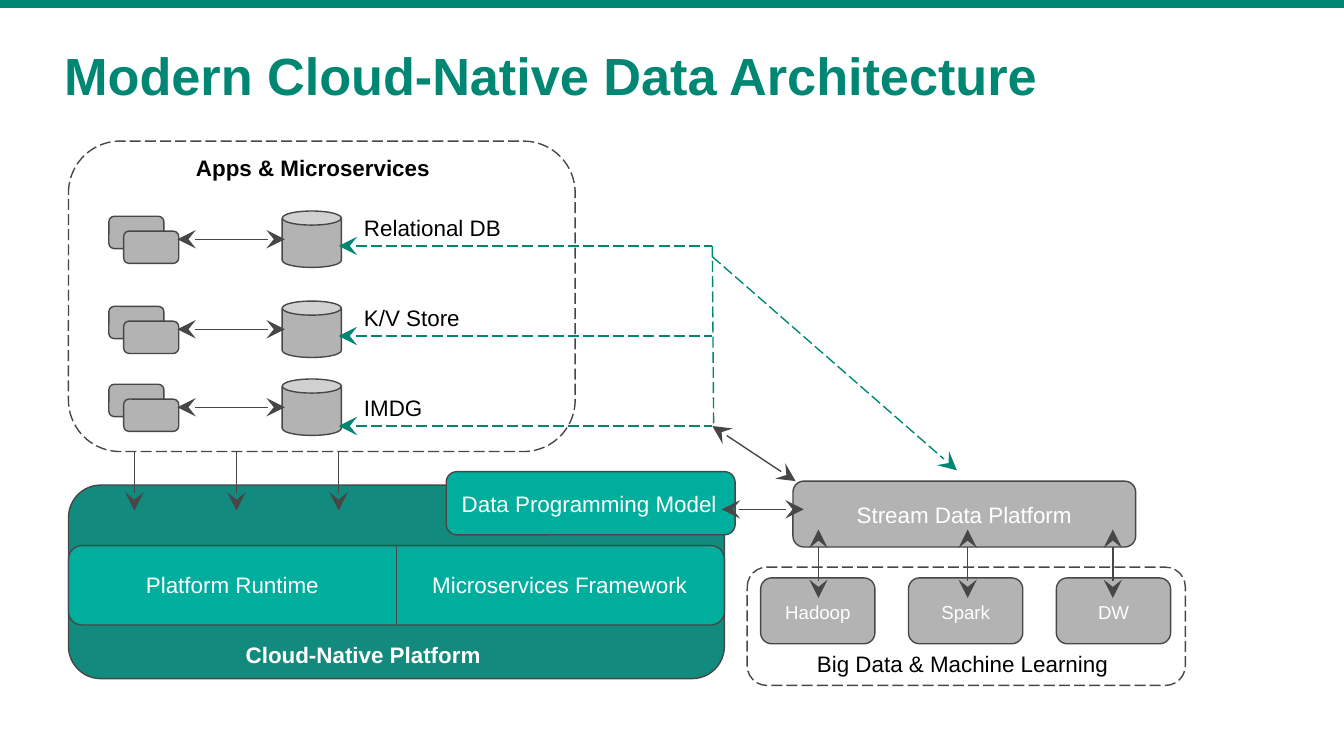
from typing import NamedTuple

from lxml.etree import SubElement
from pptx import Presentation
from pptx.dml.color import RGBColor
from pptx.enum.dml import MSO_LINE
from pptx.enum.shapes import MSO_CONNECTOR, MSO_SHAPE
from pptx.enum.text import MSO_ANCHOR, PP_ALIGN
from pptx.oxml.ns import qn
from pptx.util import Inches, Pt

COLORS = {
    "brand": "008774",
    "deep": "138A7E",
    "teal": "00AE9E",
    "gray": "B3B3B3",
    "edge": "474747",
    "white": "FFFFFF",
    "black": "000000",
}


class Box(NamedTuple):
    x: float
    y: float
    w: float
    h: float
    fill: str = ""  # no fill means a dashed frame
    kind: MSO_SHAPE = MSO_SHAPE.ROUNDED_RECTANGLE
    edge: str = "edge"


class Label(NamedTuple):
    text: str
    x: float
    y: float
    w: float
    h: float
    color: str = "white"
    size: int = 12
    bold: bool = False
    center: bool = False
    inset: float = 0.1


class Link(NamedTuple):
    x1: float
    y1: float
    x2: float
    y2: float
    head: bool = True
    tail: bool = True
    color: str = "edge"
    dash: bool = False


def rgb(name: str) -> RGBColor:
    return RGBColor.from_string(COLORS[name])


def draw_box(slide, box: Box) -> None:
    shape = slide.shapes.add_shape(
        box.kind, Inches(box.x), Inches(box.y), Inches(box.w), Inches(box.h))
    shape.shadow.inherit = False
    if box.fill:
        shape.fill.solid()
        shape.fill.fore_color.rgb = rgb(box.fill)
    else:
        shape.fill.background()
        shape.line.dash_style = MSO_LINE.LONG_DASH
    if box.edge:
        shape.line.color.rgb = rgb(box.edge)
        shape.line.width = Pt(0.75)
    else:
        shape.line.fill.background()


def draw_label(slide, label: Label) -> None:
    shape = slide.shapes.add_textbox(
        Inches(label.x), Inches(label.y), Inches(label.w), Inches(label.h))
    frame = shape.text_frame
    frame.word_wrap = True
    frame.vertical_anchor = MSO_ANCHOR.TOP
    frame.margin_left = frame.margin_right = Inches(0.1)
    frame.margin_top = frame.margin_bottom = Inches(label.inset)
    para = frame.paragraphs[0]
    para.text = label.text
    para.alignment = PP_ALIGN.CENTER if label.center else PP_ALIGN.LEFT
    font = para.font
    font.name = "Arial"
    font.size = Pt(label.size)
    font.bold = label.bold
    font.color.rgb = rgb(label.color)


def draw_link(slide, link: Link) -> None:
    line = slide.shapes.add_connector(
        MSO_CONNECTOR.STRAIGHT, Inches(link.x1), Inches(link.y1),
        Inches(link.x2), Inches(link.y2))
    line.line.color.rgb = rgb(link.color)
    line.line.width = Pt(0.75)
    if link.dash:
        line.line.dash_style = MSO_LINE.LONG_DASH
    stroke = line.line._get_or_add_ln()
    for tag, shown in (("a:headEnd", link.head), ("a:tailEnd", link.tail)):
        if shown:
            SubElement(stroke, qn(tag), type="stealth", w="lg", len="lg")
    SubElement(line._element.spPr, qn("a:effectLst"))


def draw_title(slide) -> None:
    draw_box(slide, Box(0, 0, 10, 0.06, "brand", MSO_SHAPE.RECTANGLE, ""))
    draw_label(slide, Label("Modern Cloud-Native Data Architecture",
                            0.38, 0.27, 8.64, 0.82, "brand", 28, True, inset=0.05))


def draw_platform(slide) -> None:
    draw_box(slide, Box(0.51, 3.61, 4.88, 1.44, "deep"))
    draw_box(slide, Box(0.51, 4.06, 4.88, 0.59, "teal"))
    draw_link(slide, Link(2.95, 4.06, 2.95, 4.65, False, False))
    draw_box(slide, Box(3.32, 3.51, 2.15, 0.47, "teal"))
    for label in (
        Label("Data Programming Model", 3.32, 3.55, 2.13, 0.43, center=True),
        Label("Platform Runtime", 0.81, 4.15, 1.84, 0.45, center=True),
        Label("Microservices Framework", 3.11, 4.15, 2.11, 0.45, center=True),
        Label("Cloud-Native Platform", 1.73, 4.67, 2.44, 0.47, bold=True),
    ):
        draw_label(slide, label)


def draw_apps(slide) -> None:
    draw_box(slide, Box(0.51, 1.05, 3.77, 2.31))
    draw_label(slide, Label("Apps & Microservices", 1.36, 1.05, 2.08, 0.36,
                            "black", bold=True))
    stores = (("Relational DB", 1.57, 1.28), ("K/V Store", 2.24, 1.05),
              ("IMDG", 2.82, 1.05))
    for i, (name, top, width) in enumerate(stores):
        # Service pair, its store and the arrow between them
        for step in (0, 0.11):
            draw_box(slide, Box(0.81 + step, top + 0.04 + step, 0.41, 0.24, "gray"))
        draw_box(slide, Box(2.1, top, 0.44, 0.42, "gray", MSO_SHAPE.CAN))
        draw_link(slide, Link(1.32, top + 0.21, 2.12, top + 0.21))
        # Evenly spaced name and data feed
        shift = 0.67 * i
        draw_label(slide, Label(name, 2.61, 1.49 + shift, width, 0.36, "black"))
        draw_link(slide, Link(2.52, 1.83 + shift, 5.3, 1.83 + shift,
                              tail=False, color="brand", dash=True))
        # Arrow down to the platform
        x = 1 + 0.76 * i
        draw_link(slide, Link(x, 3.36, x, 3.8, head=False))


def draw_data(slide) -> None:
    draw_box(slide, Box(5.9, 3.58, 2.55, 0.49, "gray"))
    draw_label(slide, Label("Stream Data Platform", 6.18, 3.63, 1.99, 0.49,
                            center=True))
    draw_box(slide, Box(5.56, 4.22, 3.26, 0.88))
    draw_label(slide, Label("Big Data & Machine Learning", 5.98, 4.74, 2.55, 0.36,
                            "black"))
    tools = (("Hadoop", 6.09), ("Spark", 7.2), ("DW", 8.28))
    for i, (name, mid) in enumerate(tools):
        x = 5.66 + 1.1 * i
        draw_box(slide, Box(x, 4.3, 0.85, 0.49, "gray"))
        draw_label(slide, Label(name, x + 0.05, 4.39, 0.75, 0.43, size=10,
                                center=True))
        draw_link(slide, Link(mid, 3.94, mid, 4.45))


def draw_flows(slide) -> None:
    for link in (
        Link(5.3, 1.83, 5.31, 3.18, False, False, "brand", True),
        Link(5.3, 1.91, 7.12, 3.5, False, True, "brand", True),
        Link(5.3, 3.17, 5.92, 3.58),
        Link(5.37, 3.79, 5.98, 3.79),
    ):
        draw_link(slide, link)


def main() -> None:
    deck = Presentation()
    # Widescreen, 16 to 9
    deck.slide_width = Inches(10)
    deck.slide_height = Inches(10) * 9 // 16
    slide = deck.slides.add_slide(deck.slide_layouts[6])
    for draw in (draw_title, draw_platform, draw_apps, draw_data, draw_flows):
        draw(slide)
    deck.save("out.pptx")


if __name__ == "__main__":
    main()
